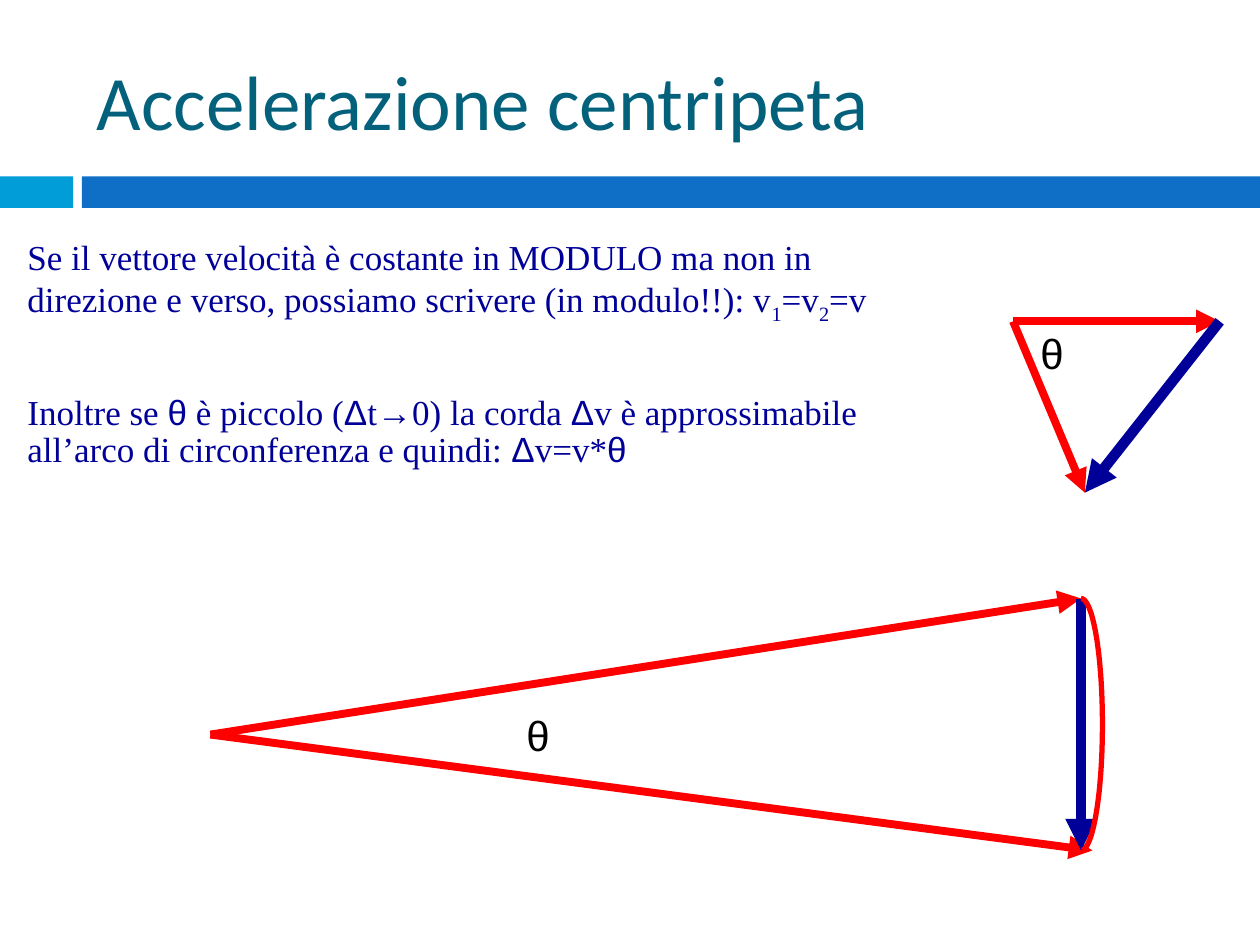
from math import cos, radians, sin

from lxml.etree import SubElement
from pptx import Presentation
from pptx.dml.color import RGBColor
from pptx.enum.shapes import MSO_CONNECTOR, MSO_SHAPE
from pptx.enum.text import MSO_ANCHOR, MSO_AUTO_SIZE, PP_ALIGN
from pptx.oxml.ns import qn
from pptx.util import Inches, Pt

CYAN = RGBColor(0x00, 0x9D, 0xD9)
BLUE = RGBColor(0x0F, 0x6F, 0xC6)
TEAL = RGBColor(0x04, 0x61, 0x7B)
NAVY = RGBColor(0x00, 0x00, 0x99)
RED = RGBColor(0xFF, 0x00, 0x00)
BLACK = RGBColor(0x00, 0x00, 0x00)

SERIF, SANS = "Times New Roman", "Arial"
SUBSCRIPT = "-25000"

VELOCITY_RUNS = [
    ("Se il vettore velocità è costante in MODULO ma non in direzione e verso, "
     "possiamo scrivere (in modulo!!): v", SERIF, None),
    ("1", SERIF, SUBSCRIPT),
    ("=v", SERIF, None),
    ("2", SERIF, SUBSCRIPT),
    ("=v", SERIF, None),
]
CHORD_RUNS = [
    ("Inoltre se ", SERIF, None),
    ("θ", SANS, None),
    (" è piccolo (", SERIF, None),
    ("Δ", SANS, None),
    ("t→0) la corda ", SERIF, None),
    ("Δ", SANS, None),
    ("v è approssimabile all’arco di circonferenza e quindi: ", SERIF, None),
    ("Δ", SANS, None),
    ("v=v*", SERIF, None),
    ("θ", SANS, None),
]


def add_run(paragraph, text, font_name, size, color):
    run = paragraph.add_run()
    run.text = text
    formats = {"name": font_name, "size": Pt(size)}
    for name, value in formats.items():
        setattr(run.font, name, value)
    run.font.color.rgb = color
    return run


def add_text_frame(shapes, box, **formats):
    text_frame = shapes.add_textbox(*map(Inches, box)).text_frame
    for name, value in formats.items():
        setattr(text_frame, name, value)
    return text_frame


def add_bars(shapes, top, height):
    for left, width, color in [(0, 0.58, CYAN), (0.65, 9.35, BLUE)]:
        bar = shapes.add_shape(MSO_SHAPE.RECTANGLE, *map(Inches, (left, top, width, height)))
        bar.shadow.inherit = False
        bar.fill.solid()
        bar.fill.fore_color.rgb = color
        bar.line.fill.background()


def add_title(shapes, box):
    text_frame = add_text_frame(shapes, box, word_wrap=True, vertical_anchor=MSO_ANCHOR.MIDDLE)
    add_run(text_frame.paragraphs[0], "Accelerazione centripeta", "Calibri", 44, TEAL)


def add_explanation(shapes, box):
    text_frame = add_text_frame(shapes, box, word_wrap=True)
    first, second = text_frame.paragraphs[0], text_frame.add_paragraph()
    second.space_before = Pt(42)
    for paragraph, runs in [(first, VELOCITY_RUNS), (second, CHORD_RUNS)]:
        paragraph.line_spacing = 0.9
        for text, font_name, baseline in runs:
            run = add_run(paragraph, text, font_name, 20, NAVY)
            if baseline:
                run._r.get_or_add_rPr().set("baseline", baseline)


def add_vector(shapes, start, end, color, width):
    vector = shapes.add_connector(MSO_CONNECTOR.STRAIGHT, *map(Inches, (*start, *end)))
    vector.line.color.rgb = color
    vector.line.width = Pt(width)
    SubElement(vector.line._get_or_add_ln(), qn("a:tailEnd"), type="triangle")
    SubElement(vector._element.spPr, qn("a:effectLst"))


def add_vector_triangle(shapes, apex, tips, chord, label_box):
    """Two velocity vectors from the apex, their angle, and the difference vector."""
    for tip in tips:
        add_vector(shapes, apex, tip, RED, 4.5)
    text_frame = add_text_frame(shapes, label_box, word_wrap=False,
                                auto_size=MSO_AUTO_SIZE.SHAPE_TO_FIT_TEXT)
    paragraph = text_frame.paragraphs[0]
    paragraph.alignment = PP_ALIGN.RIGHT
    add_run(paragraph, "θ", SANS, 24, BLACK)
    add_vector(shapes, *chord, NAVY, 6)


def add_arc(shapes, left, top, width, height):
    """Right half of an ellipse that fills the box."""
    radius = height / 2
    points = [(Inches(left + width * cos(radians(angle))),
               Inches(top + radius + radius * sin(radians(angle))))
              for angle in range(-90, 88, 3)]
    builder = shapes.build_freeform(*points[0])
    builder.add_line_segments(points[1:], close=False)
    arc = builder.convert_to_shape()
    arc.shadow.inherit = False
    arc.fill.background()
    arc.line.color.rgb = RED
    arc.line.width = Pt(3)


def main():
    presentation = Presentation()
    presentation.slide_width, presentation.slide_height = Inches(10), Inches(7.5)
    slide = presentation.slides.add_slide(presentation.slide_layouts[6])
    shapes = slide.shapes

    add_bars(shapes, 1.4, 0.25)

    upper, lower = (8.58, 4.75), (8.58, 6.75)
    add_vector_triangle(shapes, (1.67, 5.83), [upper, (8.67, 6.75)],
                        (upper, lower), (4.08, 5.58, 0.38, 0.5))
    add_arc(shapes, *upper, 0.17, 2)

    right, bottom = (9.68, 2.55), (8.61, 3.91)
    add_vector_triangle(shapes.add_group_shape().shapes, (8.04, 2.55), [right, bottom],
                        (right, bottom), (8.16, 2.55, 0.37, 0.5))

    add_explanation(shapes, (0.12, 1.86, 7.17, 1.92))
    add_title(shapes, (0.67, 0.25, 8.92, 1.08))
    presentation.save("out.pptx")


if __name__ == "__main__":
    main()
